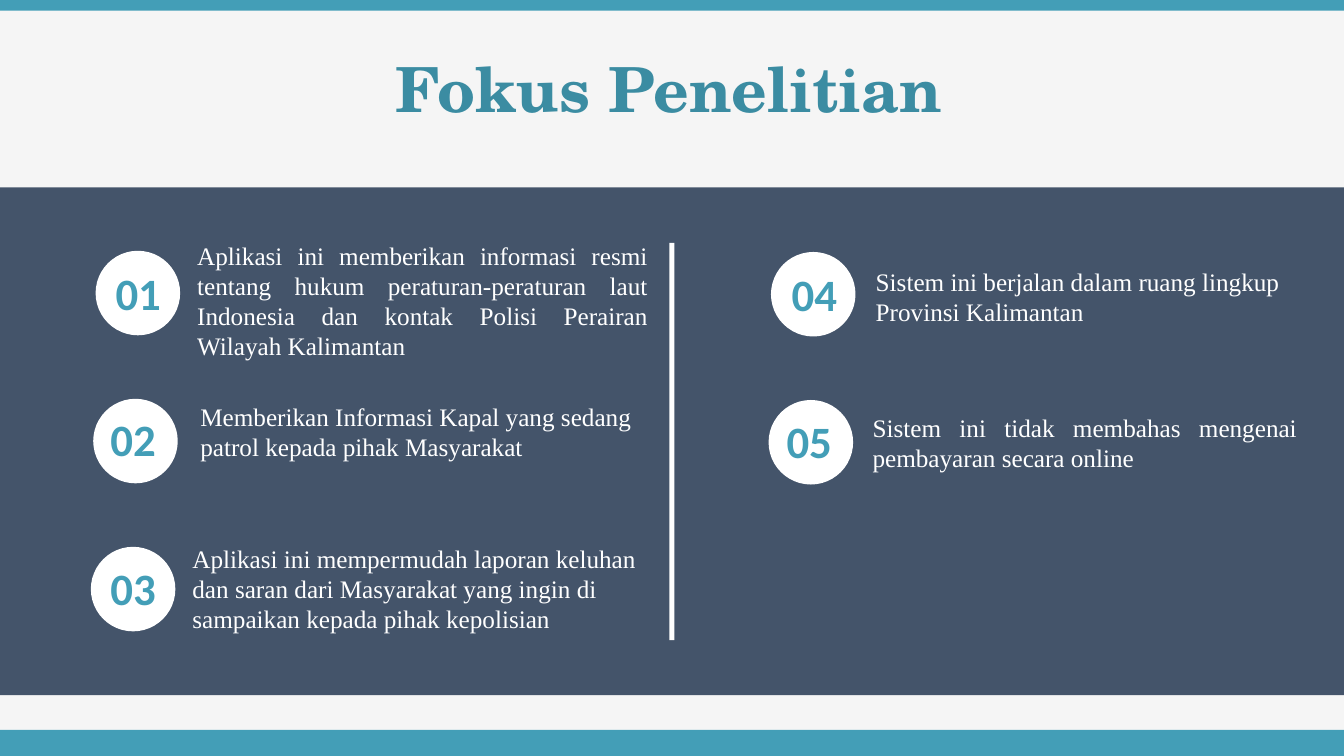
from pptx import Presentation
from pptx import util as u
from pptx.dml import color
from pptx.enum import shapes, text

WIDTH, HEIGHT = 33.87, 19.05
CIRCLE = 2.13
TEAL, DARK_TEAL, SLATE, WHITE, PALE = "439EB7", "3B8CA2", "44546A", "FFFFFF", "F5F5F5"
LEFT, CENTER, JUSTIFY = text.PP_ALIGN.LEFT, text.PP_ALIGN.CENTER, text.PP_ALIGN.JUSTIFY

COLUMNS = [
    (2.41, 6.32, [
        ("01", (2.29, 6.58), (4.72, 5.92, 11.86, 3.33), JUSTIFY,
         "Aplikasi ini memberikan informasi resmi tentang hukum peraturan-peraturan laut "
         "Indonesia dan kontak Polisi Perairan Wilayah Kalimantan"),
        ("02", (2.16, 10.26), (4.8, 9.98, 11.86, 1.8), LEFT,
         "Memberikan Informasi Kapal yang sedang patrol kepada pihak Masyarakat"),
        ("03", (2.16, 14), (4.6, 13.56, 11.96, 2.57), LEFT,
         "Aplikasi ini mempermudah laporan keluhan dan saran dari Masyarakat yang ingin di "
         "sampaikan kepada pihak kepolisian"),
    ]),
    (19.43, 6.35, [
        ("04", (19.33, 6.6), (21.82, 6.58, 11.2, 1.8), LEFT,
         "Sistem ini berjalan dalam ruang lingkup Provinsi Kalimantan"),
        ("05", (19.2, 10.29), (21.74, 10.26, 11.2, 1.8), JUSTIFY,
         "Sistem ini tidak membahas mengenai pembayaran secara online"),
    ]),
]


def rgb(value):
    return color.RGBColor.from_string(value)


class SlideBuilder:
    """Draw styled elements on the current slide, with lengths in centimetres."""

    def __init__(self, page):
        self.page = page
        fill = page.background.fill
        fill.solid()
        fill.fore_color.rgb = rgb(PALE)

    def add_words(self, frame, words, size, font, hue, align, bold=False):
        frame.word_wrap = True
        para = frame.paragraphs[0]
        para.alignment = align
        span = para.add_run()
        span.text = words
        span.font.size = u.Pt(size)
        span.font.name = font
        span.font.bold = bold
        span.font.color.rgb = rgb(hue)
        return para

    def title(self, words, left, top, width, height):
        box = self.page.shapes.title
        box.left, box.top, box.width, box.height = map(u.Cm, (left, top, width, height))
        box.text_frame.vertical_anchor = text.MSO_ANCHOR.MIDDLE
        box.text_frame.auto_size = text.MSO_AUTO_SIZE.NONE
        para = self.add_words(box.text_frame, words, 44.4, "TeX Gyre Schola", DARK_TEAL, CENTER, True)
        para.line_spacing = 0.92

    def shape(self, kind, hue, left, top, width, height):
        shape = self.page.shapes.add_shape(kind, *map(u.Cm, (left, top, width, height)))
        shape.shadow.inherit = False
        shape.fill.solid()
        shape.fill.fore_color.rgb = rgb(hue)
        shape.line.fill.background()

    def bar(self, hue, *place):
        self.shape(shapes.MSO_SHAPE.RECTANGLE, hue, *place)

    def circle(self, left, top):
        self.shape(shapes.MSO_SHAPE.OVAL, WHITE, left, top, CIRCLE, CIRCLE)

    def label(self, words, place, *style):
        box = self.page.shapes.add_textbox(*map(u.Cm, place))
        self.add_words(box.text_frame, words, *style)


def main():
    deck = Presentation()
    deck.slide_width, deck.slide_height = u.Cm(WIDTH), u.Cm(HEIGHT)
    builder = SlideBuilder(deck.slides.add_slide(deck.slide_layouts[5]))

    builder.title("Fokus Penelitian", -0.08, 1.24, WIDTH, 2.13)
    builder.bar(TEAL, 0, 18.39, WIDTH, 0.66)
    builder.bar(TEAL, 0, 0, WIDTH, 0.27)
    builder.bar(SLATE, 0, 4.72, WIDTH, 12.8)
    builder.bar(WHITE, 16.87, 6.12, 0.13, 10.01)

    for left, top, items in COLUMNS:
        for row, (number, corner, place, align, words) in enumerate(items):
            builder.circle(left - 0.06 * row, top + 3.73 * row)
            builder.label(number, (*corner, 2.39, 1.63), 32, "Calibri", TEAL, CENTER, True)
            builder.label(words, place, 18, "Times New Roman", WHITE, align)

    deck.save("out.pptx")


if __name__ == "__main__":
    main()
